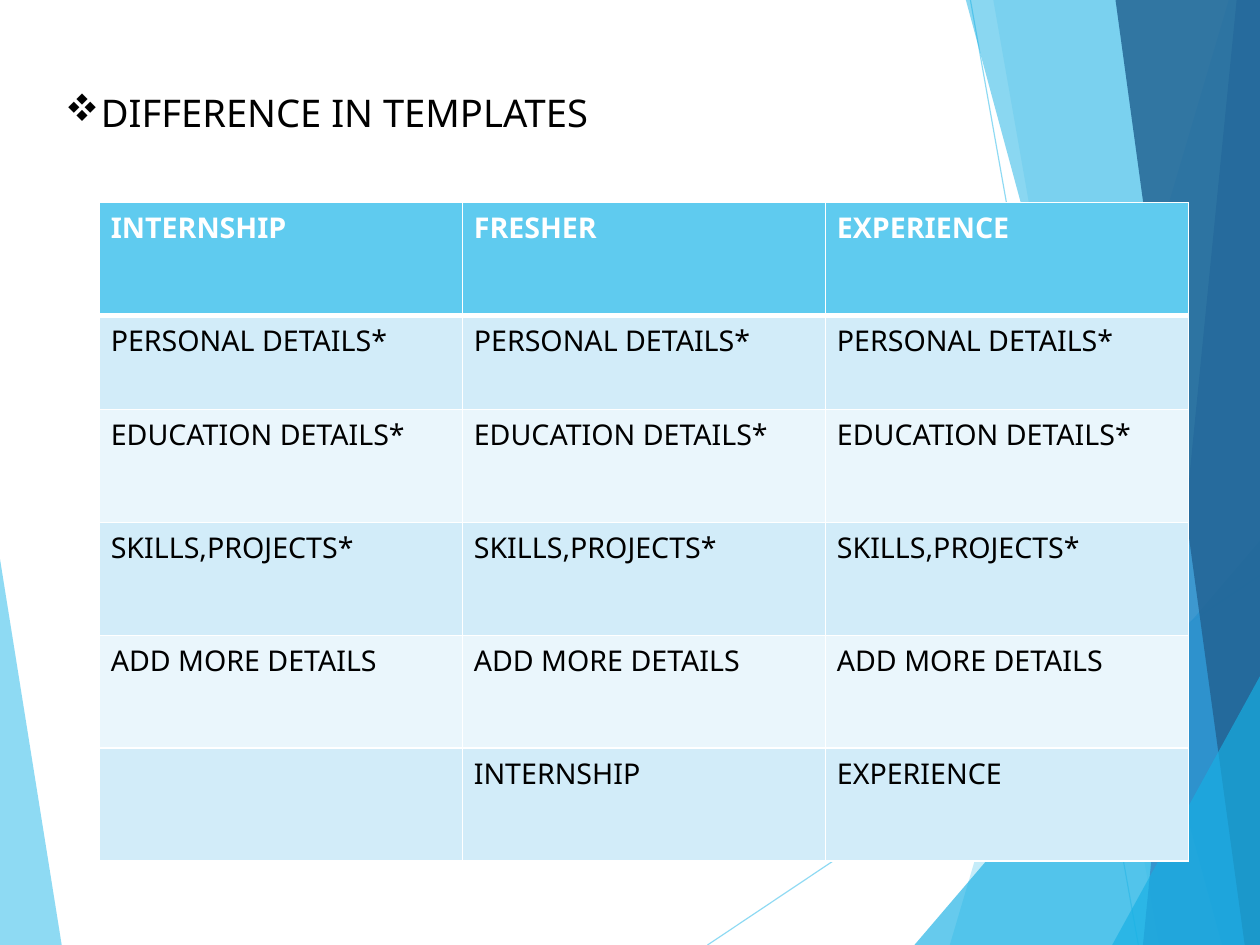
"""Build the slide that compares the resume templates in a table."""
import pptx
import pptx.dml.color
import pptx.enum.shapes
import pptx.enum.text
import pptx.oxml
import pptx.oxml.ns
import pptx.util

Pt = pptx.util.Pt
RGBColor = pptx.dml.color.RGBColor

WHITE = RGBColor(0xFF, 0xFF, 0xFF)
BLACK = RGBColor(0x00, 0x00, 0x00)
SKY = RGBColor(0x5F, 0xCB, 0xEF)
CYAN = RGBColor(0x17, 0xB0, 0xE4)
BLUE = RGBColor(0x2E, 0x83, 0xC3)
NAVY = RGBColor(0x22, 0x62, 0x92)
BANDS = (RGBColor(0xD2, 0xEC, 0xF9), RGBColor(0xEA, 0xF6, 0xFC))

WIDTH, HEIGHT = 793.7, 595.28


class SlideBuilder:
    font_name = "Noto Sans"

    def __init__(self, presentation):
        self.slide = presentation.slides.add_slide(presentation.slide_layouts[5])

    def add_run(self, paragraph, text, size, color, bold=False):
        run = paragraph.add_run()
        run.text = text
        run.font.name = self.font_name
        run.font.size = Pt(size)
        run.font.bold = bold
        run.font.color.rgb = color

    def append_element(self, parent, tag, **attributes):
        parent.append(parent.makeelement(pptx.oxml.ns.qn(tag), attributes))

    def set_opacity(self, properties, percent):
        color = next(properties.iter(pptx.oxml.ns.qn("a:srgbClr")))
        self.append_element(color, "a:alpha", val=str(percent * 1000))

    def add_title(self, text, left, top, width, height, indent):
        title = self.slide.shapes.title
        title.left, title.top, title.width, title.height = map(Pt, (left, top, width, height))
        frame = title.text_frame
        frame.word_wrap = True
        frame.auto_size = pptx.enum.text.MSO_AUTO_SIZE.NONE
        frame.vertical_anchor = pptx.enum.text.MSO_ANCHOR.MIDDLE
        paragraph = frame.paragraphs[0]
        paragraph.alignment = pptx.enum.text.PP_ALIGN.LEFT
        self.add_run(paragraph, text, 24, BLACK)
        properties = paragraph._p.get_or_add_pPr()
        properties.set("marL", str(Pt(indent)))
        properties.set("indent", str(-Pt(indent)))
        self.append_element(properties, "a:buFont", typeface="Wingdings", charset="2")
        self.append_element(properties, "a:buChar", char="v")

    def add_facet(self, points, color, opacity):
        corners = [(Pt(x), Pt(y)) for x, y in points]
        builder = self.slide.shapes.build_freeform(*corners[0])
        builder.add_line_segments(corners[1:], close=True)
        facet = builder.convert_to_shape()
        facet.shadow.inherit = False
        facet.fill.solid()
        facet.fill.fore_color.rgb = color
        facet.line.fill.background()
        self.set_opacity(facet._element.spPr, opacity)

    def add_line(self, start, end, color, opacity):
        line = self.slide.shapes.add_connector(
            pptx.enum.shapes.MSO_CONNECTOR.STRAIGHT, *map(Pt, (*start, *end)))
        line.line.color.rgb = color
        line.line.width = Pt(0.75)
        properties = line._element.spPr
        self.set_opacity(properties, opacity)
        self.append_element(properties, "a:effectLst")

    def add_borders(self, cell, bottom_width, top_width):
        properties = cell._tc.get_or_add_tcPr()
        widths = {"lnL": 1, "lnR": 1, "lnT": top_width, "lnB": bottom_width}
        for side, width in widths.items():
            properties.append(pptx.oxml.parse_xml(
                f'<a:{side} {pptx.oxml.ns.nsdecls("a")} w="{Pt(width)}"><a:solidFill>'
                f'<a:srgbClr val="{WHITE}"/></a:solidFill></a:{side}>'))

    def add_table(self, rows, left, top, column_width, row_heights):
        columns = len(rows[0])
        table = self.slide.shapes.add_table(
            len(rows), columns, Pt(left), Pt(top),
            Pt(column_width * columns), Pt(sum(row_heights))).table
        for column in table.columns:
            column.width = Pt(column_width)
        for row_index, (texts, height) in enumerate(zip(rows, row_heights)):
            table.rows[row_index].height = Pt(height)
            header = row_index == 0
            for column_index, text in enumerate(texts):
                cell = table.cell(row_index, column_index)
                self.add_borders(cell, 3 if header else 1, 3 if row_index == 1 else 1)
                cell.fill.solid()
                cell.fill.fore_color.rgb = SKY if header else BANDS[(row_index - 1) % 2]
                if text:
                    self.add_run(cell.text_frame.paragraphs[0], text, 18,
                                 WHITE if header else BLACK, header)


def right_facet(top_x, bottom_x):
    """Return the corners of a facet that fills the slide to its right edge."""
    return [(top_x, 0), (bottom_x, HEIGHT), (WIDTH, HEIGHT), (WIDTH, 0)]


def corner_facet(bottom_x, right_y):
    """Return the corners of a triangle in the bottom right corner."""
    return [(bottom_x, HEIGHT), (WIDTH, right_y), (WIDTH, HEIGHT)]


FACETS = [
    (right_facet(774, 598.3), SKY, 36),
    (right_facet(625.7, 730.1), SKY, 20),
    (corner_facet(576, 340.6), CYAN, 66),
    (right_facet(608.4, 769.7), CYAN, 50),
    (right_facet(779, 720), BLUE, 70),
    (right_facet(702.7, 784.1), NAVY, 82),
    (corner_facet(700.6, 426), CYAN, 66),
]
SHARED_ROWS = ["PERSONAL DETAILS*", "EDUCATION DETAILS*", "SKILLS,PROJECTS*", "ADD MORE DETAILS"]
TEMPLATE_ROWS = [
    ["INTERNSHIP", "FRESHER", "EXPERIENCE"],
    *([text] * 3 for text in SHARED_ROWS),
    ["", "INTERNSHIP", "EXPERIENCE"],
]

presentation = pptx.Presentation()
presentation.slide_width = Pt(WIDTH)
presentation.slide_height = Pt(HEIGHT)

builder = SlideBuilder(presentation)
builder.add_facet([(0, 352), (38.9, HEIGHT), (0, HEIGHT)], SKY, 70)
builder.add_line((445.7, HEIGHT), (WIDTH, 362.5), SKY, 70)
builder.add_line((611.3, 0), (717.1, HEIGHT), SKY, 70)
for points, color, opacity in FACETS:
    builder.add_facet(points, color, opacity)
builder.add_table(TEMPLATE_ROWS, 62.6, 127.6, 228.7, [71.2, 59] + [71.2] * 4)
builder.add_title("DIFFERENCE IN TEMPLATES", 33.8, 52.6, 398.2, 36, 22.5)

presentation.save("out.pptx")
